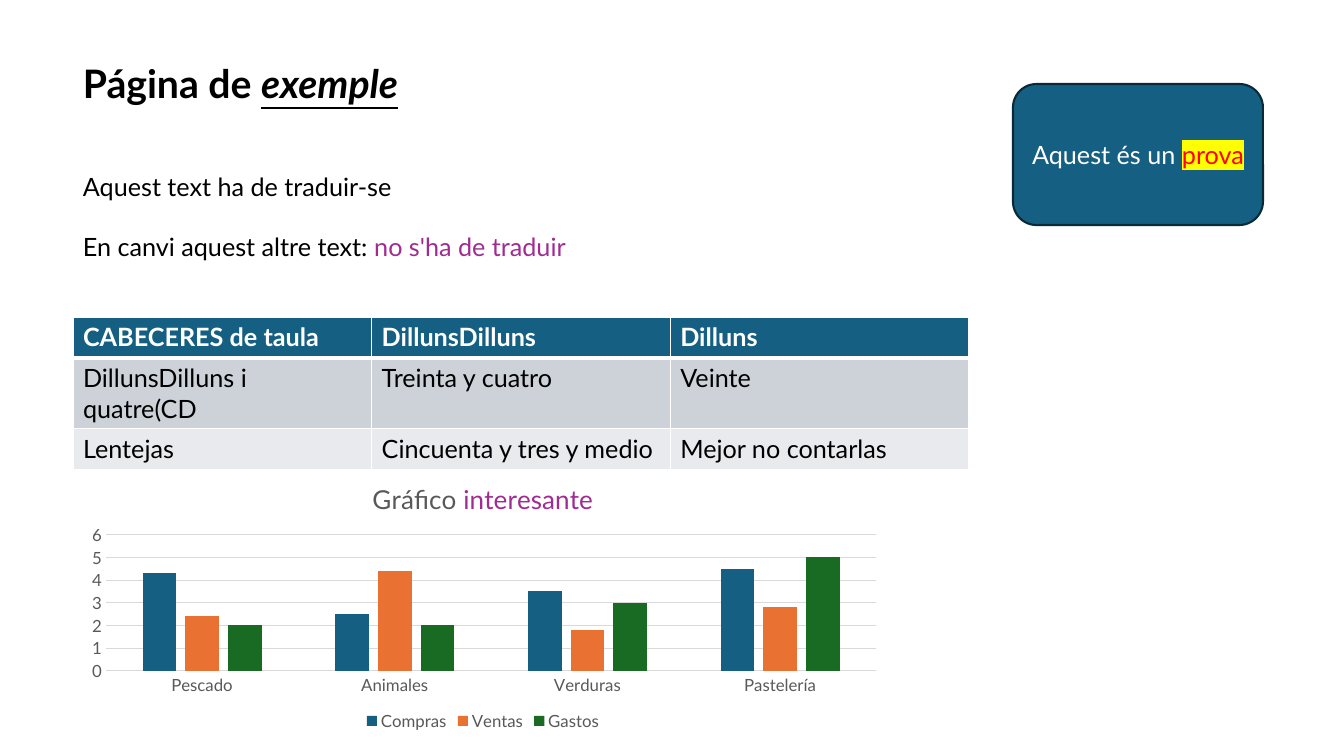
from lxml import etree
from pptx import Presentation
from pptx.chart.data import CategoryChartData
from pptx.dml.color import RGBColor
from pptx.enum.chart import XL_CHART_TYPE as ChartType, XL_LEGEND_POSITION as LegendPosition
from pptx.enum.chart import XL_TICK_MARK as TickMark
from pptx.enum.shapes import MSO_SHAPE as Shape
from pptx.enum.text import MSO_ANCHOR as Anchor, PP_ALIGN as Align
from pptx.oxml import parse_xml
from pptx.oxml.ns import nsdecls, qn
from pptx.util import Emu, Pt

FONT = "Lato"
BLACK, WHITE, GREY, RULE = "000000", "FFFFFF", "595959", "D9D9D9"
BLUE, NAVY, ORANGE, GREEN = "156082", "092A39", "E97132", "196B24"
PURPLE, RED, YELLOW = "A02B93", "FF0000", "FFFF00"
LEFT = 73


def px(length):
    return Emu(round(length * 12192000 / 1344))


def color(value):
    return RGBColor.from_string(value)


class SlideBuilder:
    def __init__(self, slide):
        self.slide = slide

    def style(self, font, size, ink, bold=None):
        font.name, font.size, font.bold = FONT, Pt(size), bold
        font.color.rgb = color(ink)

    def add_runs(self, paragraph, runs, size, bold=None):
        """Add (text, colour) runs and return them."""
        added = []
        for text, ink in runs:
            run = paragraph.add_run()
            run.text = text
            self.style(run.font, size, ink, bold)
            added.append(run)
        return added

    def text(self, box, paragraphs, size, bold=None, gap=0, wrap=True):
        """Return the runs of every paragraph in one list."""
        frame = self.slide.shapes.add_textbox(*map(px, box)).text_frame
        frame.word_wrap = wrap
        added = []
        for index, runs in enumerate(paragraphs):
            paragraph = frame.add_paragraph() if index else frame.paragraphs[0]
            if index:
                paragraph.space_before = Pt(gap)
            added += self.add_runs(paragraph, runs, size, bold)
        return added

    def card(self, box, runs, size):
        shape = self.slide.shapes.add_shape(Shape.ROUNDED_RECTANGLE, *map(px, box))
        shape.shadow.inherit = False
        shape.fill.solid()
        shape.fill.fore_color.rgb = color(BLUE)
        shape.line.color.rgb = color(NAVY)
        shape.line.width = Pt(1.5)
        shape.text_frame.word_wrap = True
        shape.text_frame.vertical_anchor = Anchor.MIDDLE
        paragraph = shape.text_frame.paragraphs[0]
        paragraph.alignment = Align.CENTER
        return self.add_runs(paragraph, runs, size)

    def highlight(self, run, ink):
        mark = parse_xml(f'<a:highlight {nsdecls("a")}><a:srgbClr val="{ink}"/></a:highlight>')
        run.font._element.find(qn("a:solidFill")).addnext(mark)

    def border(self, cell, header):
        properties = cell._tc.get_or_add_tcPr()
        for index, side in enumerate("LRTB"):
            width = Pt(3 if header and side == "B" else 1)
            line = parse_xml(
                f'<a:ln{side} {nsdecls("a")} w="{width}"><a:solidFill>'
                f'<a:srgbClr val="{WHITE}"/></a:solidFill></a:ln{side}>')
            properties.insert(index, line)

    def table(self, box, rows, fills, size):
        frame = self.slide.shapes.add_table(len(rows), len(rows[0]), *map(px, box))
        for row_index, (texts, fill) in enumerate(zip(rows, fills)):
            header = row_index == 0
            for column_index, text in enumerate(texts):
                cell = frame.table.cell(row_index, column_index)
                cell.fill.solid()
                cell.fill.fore_color.rgb = color(fill)
                ink = WHITE if header else BLACK
                self.add_runs(cell.text_frame.paragraphs[0], [(text, ink)], size, header)
                self.border(cell, header)

    def place_plot(self, chart, x, y, w, h):
        """Fix the inner plot area, in fractions of the chart."""
        plot_area = chart._chartSpace.chart.plotArea
        for layout in plot_area.findall(qn("c:layout")):
            plot_area.remove(layout)
        layout = etree.Element(qn("c:layout"))
        manual = etree.SubElement(layout, qn("c:manualLayout"))
        settings = dict(layoutTarget="inner", xMode="edge", yMode="edge", x=x, y=y, w=w, h=h)
        for name, value in settings.items():
            etree.SubElement(manual, qn(f"c:{name}")).set("val", str(value))
        plot_area.insert(0, layout)

    def column_chart(self, box, title, categories, series):
        data = CategoryChartData()
        data.categories = categories
        for name, values, _ in series:
            data.add_series(name, values)
        chart = self.slide.shapes.add_chart(
            ChartType.COLUMN_CLUSTERED, *map(px, box), data).chart
        self.style(chart.font, 10, BLACK)
        chart.has_title = True
        self.add_runs(chart.chart_title.text_frame.paragraphs[0], title, 18.6, False)
        chart.chart_title.include_in_layout = False

        chart.has_legend = True
        chart.legend.position = LegendPosition.BOTTOM
        chart.legend.include_in_layout = False
        self.style(chart.legend.font, 12, GREY)

        plot = chart.plots[0]
        plot.gap_width, plot.overlap, plot.vary_by_categories = 219, -27, False
        for bars, (_, _, fill) in zip(plot.series, series):
            bars.format.fill.solid()
            bars.format.fill.fore_color.rgb = color(fill)
            bars.invert_if_negative = False

        value_axis, category_axis = chart.value_axis, chart.category_axis
        for axis in (value_axis, category_axis):
            axis.major_tick_mark = axis.minor_tick_mark = TickMark.NONE
            self.style(axis.tick_labels.font, 12, GREY)
        value_axis.minimum_scale, value_axis.maximum_scale = 0, 6
        value_axis.major_unit = 1
        value_axis.format.line.fill.background()
        for line in (value_axis.major_gridlines.format.line, category_axis.format.line):
            line.color.rgb = color(RULE)
            line.width = Pt(0.75)
        return chart


def main():
    presentation = Presentation()
    presentation.slide_width, presentation.slide_height = px(1344), px(756)
    builder = SlideBuilder(presentation.slides.add_slide(presentation.slide_layouts[6]))

    heading = [("Página de ", BLACK), ("exemple", BLACK)]
    emphasis = builder.text((LEFT, 54, 350, 57), [heading], 28, bold=True, wrap=False)[-1]
    emphasis.font.italic = emphasis.font.underline = True

    builder.text((LEFT, 166, 568, 132), [
        [("Aquest text ha de traduir-se", BLACK)],
        [("En canvi aquest altre text: ", BLACK), ("no s'ha de traduir", PURPLE)],
    ], 18, gap=21.6)

    card_runs = [("Aquest és un ", WHITE), ("prova", RED)]
    builder.highlight(builder.card((1013, 84, 250, 141), card_runs, 18)[-1], YELLOW)

    builder.table((LEFT, 317, 896, 123), [
        ["CABECERES de taula", "DillunsDilluns", "Dilluns"],
        ["DillunsDilluns i quatre(CD", "Treinta y cuatro", "Veinte"],
        ["Lentejas", "Cincuenta y tres y medio", "Mejor no contarlas"],
    ], [BLUE, "CCD2D8", "E8EAED"], 18)

    chart = builder.column_chart(
        (LEFT, 468, 820, 267),
        [("Gráfico ", GREY), ("interesante", PURPLE)],
        ["Pescado", "Animales", "Verduras", "Pastelería"],
        [("Compras", (4.3, 2.5, 3.5, 4.5), BLUE),
         ("Ventas", (2.4, 4.4, 1.8, 2.8), ORANGE),
         ("Gastos", (2, 2, 3, 5), GREEN)])
    builder.place_plot(chart, 0.04, 0.25, 0.94, 0.51)

    presentation.save("out.pptx")


if __name__ == "__main__":
    main()
